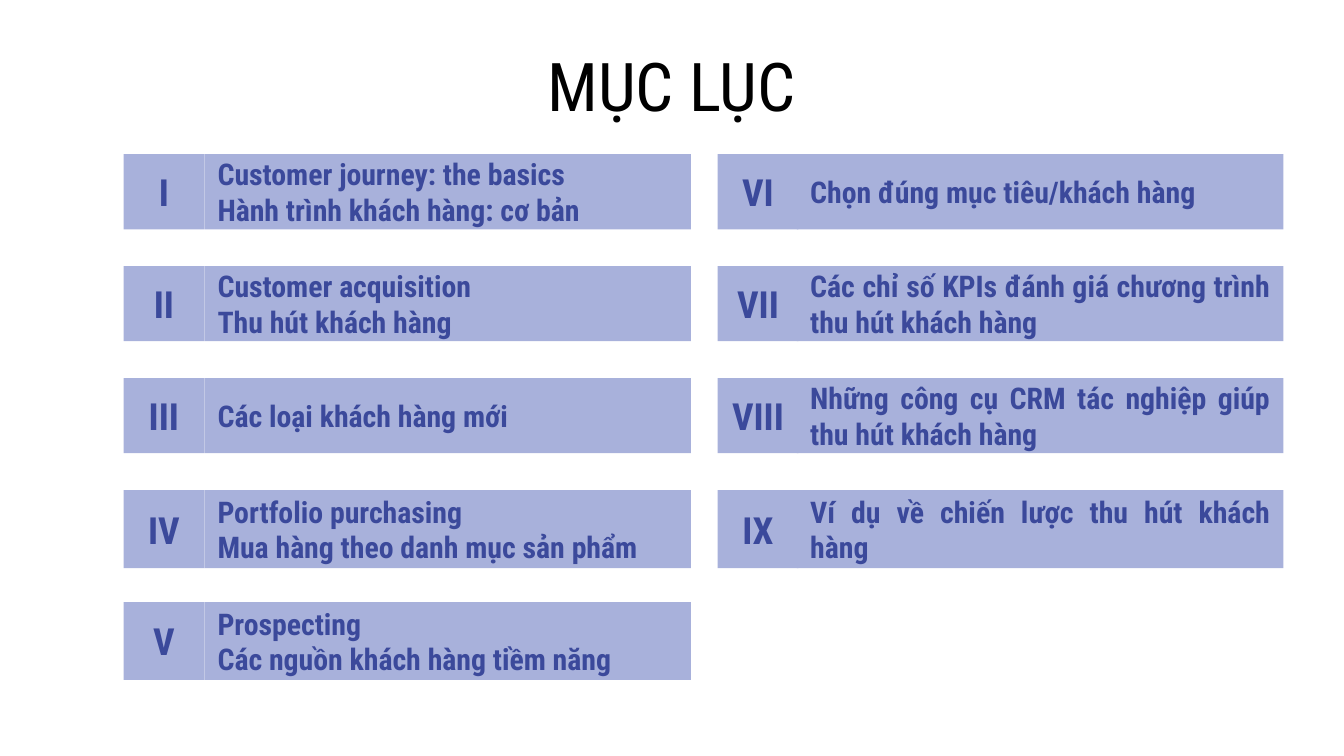
from dataclasses import dataclass

from pptx import Presentation
from pptx.dml.color import RGBColor
from pptx.enum.shapes import MSO_SHAPE
from pptx.enum.text import MSO_ANCHOR, PP_ALIGN
from pptx.util import Inches, Pt

RECT = MSO_SHAPE.RECTANGLE
MIDDLE = MSO_ANCHOR.MIDDLE
CENTER = PP_ALIGN.CENTER
JUSTIFY = PP_ALIGN.JUSTIFY

FONT = "Roboto Condensed"
BAND = "A8B1DB"
INK = "3B499B"
BLACK = "000000"

NUMBER_LEFTS = (0.92, 5.34)
TOPIC_LEFTS = (1.52, 5.93)
NUMBER_W, TOPIC_W = 0.6, 3.62
ROWS_PER_COLUMN = 5
LAST_TOP = 4.48
PITCH = 5 / 6
ROW_HEIGHTS = (0.56, 0.56, 0.56, 0.58, 0.58)


@dataclass
class Entry:
    number: str
    lines: tuple[str, ...]


ENTRIES = [
    Entry("I", ("Customer journey: the basics ", "Hành trình khách hàng: cơ bản")),
    Entry("II", ("Customer acquisition", "Thu hút khách hàng")),
    Entry("III", ("Các loại khách hàng mới",)),
    Entry("IV", ("Portfolio purchasing", "Mua hàng theo danh mục sản phẩm ")),
    Entry("V", ("Prospecting ", "Các nguồn khách hàng tiềm năng")),
    Entry("VI", ("Chọn đúng mục tiêu/khách hàng",)),
    Entry("VII", ("Các chỉ số KPIs đánh giá chương trình thu hút khách hàng",)),
    Entry("VIII", ("Những công cụ CRM tác nghiệp giúp thu hút khách hàng ",)),
    Entry("IX", ("Ví dụ về chiến lược thu hút khách hàng ",)),
]


def rgb(value: str) -> RGBColor:
    return RGBColor.from_string(value)


def write(sp, lines: tuple[str, ...], *, size: float, color: str,
          align: PP_ALIGN, bold: bool = False) -> None:
    tf = sp.text_frame
    tf.word_wrap = True
    tf.vertical_anchor = MIDDLE
    tf.margin_left = tf.margin_right = Inches(0.1)
    tf.margin_top = tf.margin_bottom = Inches(0.1)
    for i, line in enumerate(lines):
        p = tf.add_paragraph() if i else tf.paragraphs[0]
        p.alignment = align
        r = p.add_run()
        r.text = line
        r.font.name = FONT
        r.font.size = Pt(size)
        r.font.bold = bold
        r.font.color.rgb = rgb(color)


def add_cell(s, left: float, top: float, width: float, height: float):
    sp = s.shapes.add_shape(RECT, Inches(left), Inches(top),
                            Inches(width), Inches(height))
    sp.shadow.inherit = False
    sp.fill.solid()
    sp.fill.fore_color.rgb = rgb(BAND)
    sp.line.fill.background()
    return sp


def add_entry(s, entry: Entry, index: int) -> None:
    column, row = divmod(index, ROWS_PER_COLUMN)
    top = LAST_TOP - (ROWS_PER_COLUMN - 1 - row) * PITCH
    height = ROW_HEIGHTS[row]
    number = add_cell(s, NUMBER_LEFTS[column], top, NUMBER_W, height)
    write(number, (entry.number,), size=20, color=INK, align=CENTER, bold=True)
    topic = add_cell(s, TOPIC_LEFTS[column], top, TOPIC_W, height)
    write(topic, entry.lines, size=16, color=INK, align=JUSTIFY, bold=True)


def add_title(s, text: str) -> None:
    sp = s.shapes.title
    sp.left, sp.top = Inches(0.49), Inches(0.45)
    sp.width, sp.height = Inches(9.01), Inches(0.36)
    write(sp, (text,), size=36, color=BLACK, align=CENTER)


def main() -> None:
    prs = Presentation()
    prs.slide_width = Inches(10)
    prs.slide_height = Inches(10 * 9 / 16)
    s = prs.slides.add_slide(prs.slide_layouts[5])
    add_title(s, "MỤC LỤC")
    for i, entry in enumerate(ENTRIES):
        add_entry(s, entry, i)
    prs.save("out.pptx")


if __name__ == "__main__":
    main()
